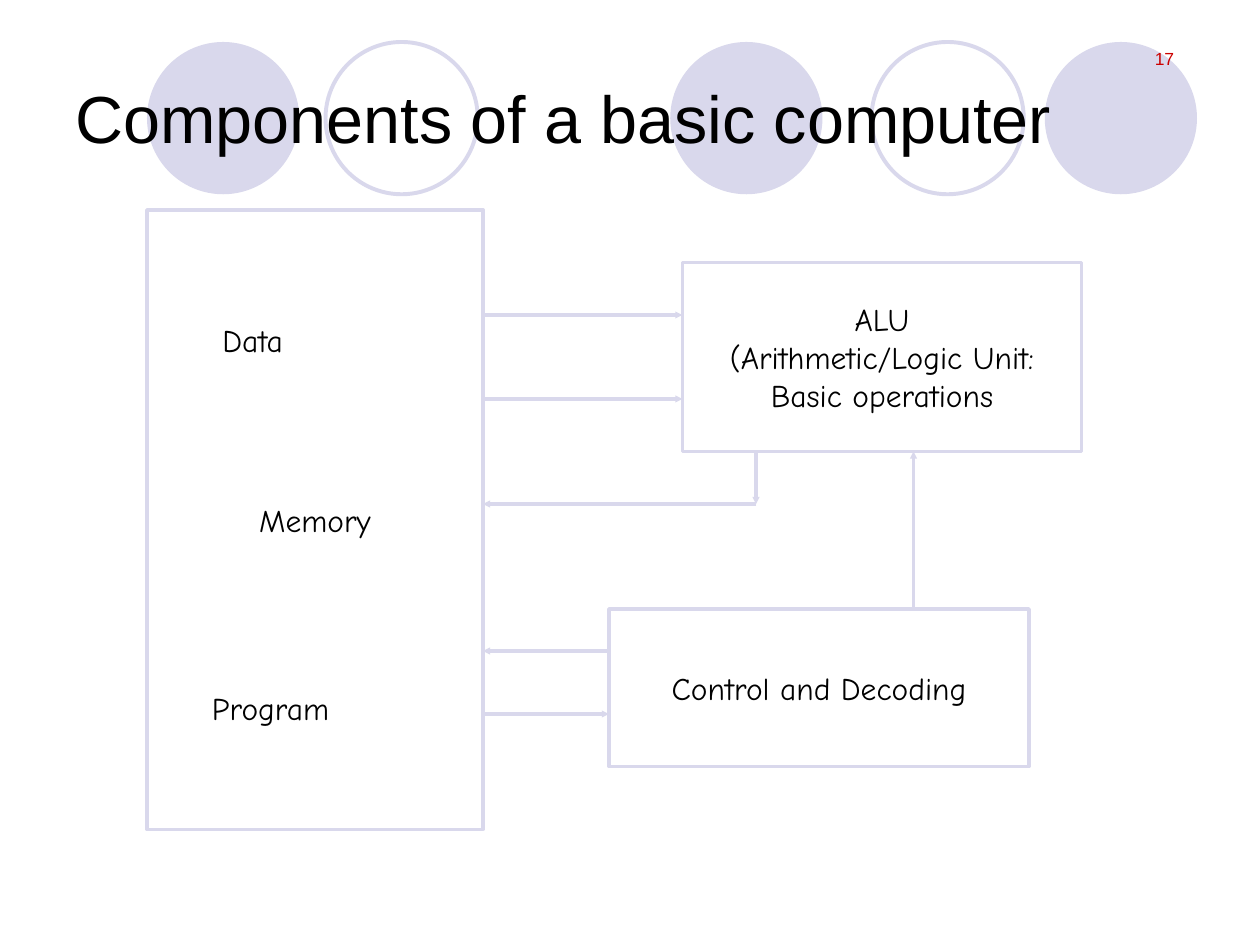
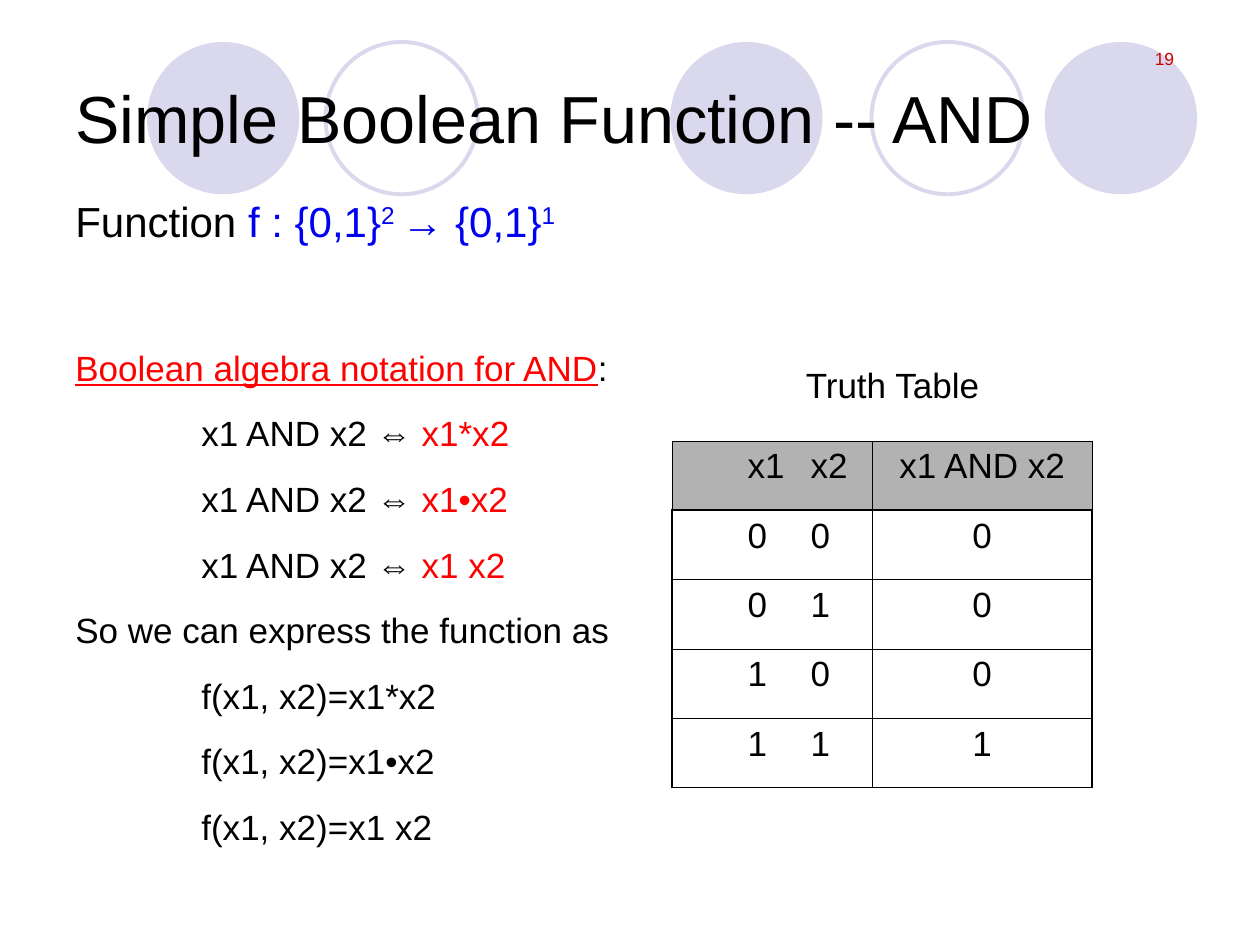
from dataclasses import dataclass
from lxml import etree
from pptx import Presentation
from pptx.dml.color import RGBColor
from pptx.enum.shapes import MSO_CONNECTOR, MSO_SHAPE
from pptx.enum.text import MSO_ANCHOR, PP_ALIGN
from pptx.oxml.ns import qn
from pptx.util import Pt

LEFT, CENTER, RIGHT = PP_ALIGN.LEFT, PP_ALIGN.CENTER, PP_ALIGN.RIGHT
TOP, MIDDLE = MSO_ANCHOR.TOP, MSO_ANCHOR.MIDDLE
OVAL, RECTANGLE = MSO_SHAPE.OVAL, MSO_SHAPE.RECTANGLE
STRAIGHT = MSO_CONNECTOR.STRAIGHT


@dataclass(frozen=True)
class Theme:
    lilac: str = "D9D8EC"
    ink: str = "000000"
    number: str = "CC0000"
    blue: str = "0000F0"
    red: str = "FF0000"
    header: str = "B2B2B2"
    font: str = "Arial"
    hand_font: str = "Comic Neue"
    title_size: float = 38
    lead_size: float = 24
    body_size: float = 20
    label_size: float = 18
    number_size: float = 10
    line: float = 2
    ring_line: float = 2.25
    thin_border: float = 0.45
    thick_border: float = 1.08


THEME = Theme()

CIRCLE_TOP, CIRCLE_SIZE = 24, 87
CIRCLES = [(383, True), (597, True), (84, True), (498, False), (186, False)]
NUMBER_AREA = (510, 24, 168, 36)
TITLE_AREA = (36, 21.6, 648, 90)

MEMORY = (84, 120, 192, 354)
ALU = (390, 150, 228, 108)
CONTROL = (348, 348, 240, 90)
UNITS = [
    (MEMORY, "Memory"),
    (ALU, "ALU\n(Arithmetic/Logic Unit:\nBasic operations"),
    (CONTROL, "Control and Decoding"),
]
MEMORY_LABELS = [
    ((120, 180, 120, 29), "Data"),
    ((114, 390, 132, 29), "Program"),
]
OPERAND_LEVELS = (180, 228)
RESULT_X, RESULT_Y = 432, 288
FETCH_Y, INSTRUCTION_Y = 372, 408
COMMAND_X = 522

BODY_AREA = (36, 108, 324, 372)
BODY_INDENT, BODY_GAP, SECTION_GAP = 72, 13.5, 57.5
FUNCTION_LINE = [
    ("Function ", THEME.ink, ""),
    ("f : {0,1}", THEME.blue, ""),
    ("2 ", THEME.blue, "super"),
    ("→ {0,1}", THEME.blue, ""),
    ("1", THEME.blue, "super"),
]
NOTATION_LINE = [
    ("Boolean algebra notation for AND", THEME.red, "underline"),
    (":", THEME.ink, ""),
]
PRODUCTS = ["x1*x2", "x1•x2", "x1 x2"]

CAPTION_AREA = (408, 204, 204, 32)
TABLE_LEFT, TABLE_TOP, ROW_HEIGHT = 384, 252, 39.6
COLUMN_WIDTHS = (114.5, 125.5)
HEADER_TABS, VALUE_TABS = (33.5, 77.5), (33.5, 83.5)
TRUTH_ROWS = [
    ("\tx1\tx2", "x1 AND x2"),
    ("\t0\t0", "0"),
    ("\t0\t1", "0"),
    ("\t1\t0", "0"),
    ("\t1\t1", "1"),
]


def color(code):
    return RGBColor.from_string(code)


def style_font(font, size, name=THEME.font, code=THEME.ink):
    font.size = Pt(size)
    font.name = name
    font.color.rgb = color(code)


def fill_frame(frame, text, size, name=THEME.font, code=THEME.ink,
               align=LEFT, anchor=TOP, wrap=True):
    frame.word_wrap = wrap
    frame.vertical_anchor = anchor
    frame.text = text
    for para in frame.paragraphs:
        para.alignment = align
        for span in para.runs:
            style_font(span.font, size, name, code)


def add_text(page, area, text, size, **style):
    box = page.shapes.add_textbox(*map(Pt, area))
    fill_frame(box.text_frame, text, size, **style)


def add_outline(page, kind, area, width, filled=False):
    shape = page.shapes.add_shape(kind, *map(Pt, area))
    shape.shadow.inherit = False
    if filled:
        shape.fill.solid()
        shape.fill.fore_color.rgb = color(THEME.lilac)
        shape.line.fill.background()
    else:
        shape.fill.background()
        shape.line.color.rgb = color(THEME.lilac)
        shape.line.width = Pt(width)
    return shape


def add_arrow(page, start, end):
    arrow = page.shapes.add_connector(STRAIGHT, *map(Pt, start + end))
    arrow.line.color.rgb = color(THEME.lilac)
    arrow.line.width = Pt(THEME.line)
    properties = arrow._element.spPr
    etree.SubElement(properties.find(qn("a:ln")), qn("a:tailEnd"),
                     type="triangle", w="sm", len="sm")
    etree.SubElement(properties, qn("a:effectLst"))


def add_page(deck, number, title):
    page = deck.slides.add_slide(deck.slide_layouts[6])
    for left, filled in CIRCLES:
        area = (left, CIRCLE_TOP, CIRCLE_SIZE, CIRCLE_SIZE)
        add_outline(page, OVAL, area, THEME.ring_line, filled)
    add_text(page, NUMBER_AREA, number, THEME.number_size,
             code=THEME.number, align=RIGHT)
    add_text(page, TITLE_AREA, title, THEME.title_size, anchor=MIDDLE)
    return page


def build_components(deck):
    page = add_page(deck, "17", "Components of a basic computer")
    for area, text in UNITS:
        shape = add_outline(page, RECTANGLE, area, THEME.line)
        fill_frame(shape.text_frame, text, THEME.label_size, THEME.hand_font,
                   align=CENTER, anchor=MIDDLE, wrap=False)
    for area, text in MEMORY_LABELS:
        add_text(page, area, text, THEME.label_size, name=THEME.hand_font)

    memory_right = MEMORY[0] + MEMORY[2]
    alu_left, alu_bottom = ALU[0], ALU[1] + ALU[3]
    control_left, control_top = CONTROL[:2]
    arrows = [((memory_right, y), (alu_left, y)) for y in OPERAND_LEVELS]
    arrows += [
        ((RESULT_X, alu_bottom), (RESULT_X, RESULT_Y)),
        ((RESULT_X, RESULT_Y), (memory_right, RESULT_Y)),
        ((control_left, FETCH_Y), (memory_right, FETCH_Y)),
        ((memory_right, INSTRUCTION_Y), (control_left, INSTRUCTION_Y)),
        ((COMMAND_X, control_top), (COMMAND_X, alu_bottom)),
    ]
    for start, end in arrows:
        add_arrow(page, start, end)


def add_body(page):
    lines = [
        (FUNCTION_LINE, THEME.lead_size, 0, 0),
        (NOTATION_LINE, THEME.body_size, SECTION_GAP, 0),
    ]
    for product in PRODUCTS:
        spans = [("x1 AND x2 ⇔ ", THEME.ink, ""), (product, THEME.red, "")]
        lines.append((spans, THEME.body_size, BODY_GAP, BODY_INDENT))
    closing = [("So we can express the function as", THEME.ink, "")]
    lines.append((closing, THEME.body_size, BODY_GAP, 0))
    for product in PRODUCTS:
        spans = [(f"f(x1, x2)={product}", THEME.ink, "")]
        lines.append((spans, THEME.body_size, BODY_GAP, BODY_INDENT))

    frame = page.shapes.add_textbox(*map(Pt, BODY_AREA)).text_frame
    frame.word_wrap = True
    for index, (spans, size, gap, indent) in enumerate(lines):
        para = frame.add_paragraph() if index else frame.paragraphs[0]
        para.space_before = Pt(gap)
        para._p.get_or_add_pPr().set("marL", str(Pt(indent)))
        for text, code, effect in spans:
            span = para.add_run()
            span.text = text
            style_font(span.font, size, code=code)
            if effect == "underline":
                span.font.underline = True
            elif effect == "super":
                span._r.get_or_add_rPr().set("baseline", "30000")


def set_borders(cell, widths):
    properties = cell._tc.get_or_add_tcPr()
    for side, width in zip("LRTB", widths):
        line = etree.SubElement(properties, qn(f"a:ln{side}"), w=str(Pt(width)))
        fill = etree.SubElement(line, qn("a:solidFill"))
        etree.SubElement(fill, qn("a:srgbClr"), val=THEME.ink)


def set_center_tabs(para, stops):
    tabs = etree.SubElement(para._p.get_or_add_pPr(), qn("a:tabLst"))
    for stop in stops:
        etree.SubElement(tabs, qn("a:tab"), pos=str(Pt(stop)), algn="ctr")


def add_truth_table(page):
    row_count, column_count = len(TRUTH_ROWS), len(COLUMN_WIDTHS)
    area = (TABLE_LEFT, TABLE_TOP, sum(COLUMN_WIDTHS), ROW_HEIGHT * row_count)
    table = page.shapes.add_table(row_count, column_count, *map(Pt, area)).table
    table.first_row = table.horz_banding = False
    for column, width in zip(table.columns, COLUMN_WIDTHS):
        column.width = Pt(width)
    for row, texts in enumerate(TRUTH_ROWS):
        table.rows[row].height = Pt(ROW_HEIGHT)
        for column, text in enumerate(texts):
            cell = table.cell(row, column)
            thick_sides = (
                row > 0 and column == 0,
                row > 0 and column == column_count - 1,
                row == 1,
                row in (0, row_count - 1),
            )
            set_borders(cell, [THEME.thick_border if thick else THEME.thin_border
                               for thick in thick_sides])
            if row == 0:
                cell.fill.solid()
                cell.fill.fore_color.rgb = color(THEME.header)
            else:
                cell.fill.background()
            if column == 0:
                stops = VALUE_TABS if row else HEADER_TABS
                set_center_tabs(cell.text_frame.paragraphs[0], stops)
            fill_frame(cell.text_frame, text, THEME.body_size,
                       align=CENTER if column else LEFT)


def build_and_function(deck):
    page = add_page(deck, "19", "Simple Boolean Function -- AND")
    add_truth_table(page)
    add_body(page)
    add_text(page, CAPTION_AREA, "Truth Table", THEME.body_size, align=CENTER)


def main():
    deck = Presentation()
    deck.slide_width, deck.slide_height = Pt(720), Pt(540)
    build_components(deck)
    build_and_function(deck)
    deck.save("out.pptx")


if __name__ == "__main__":
    main()
